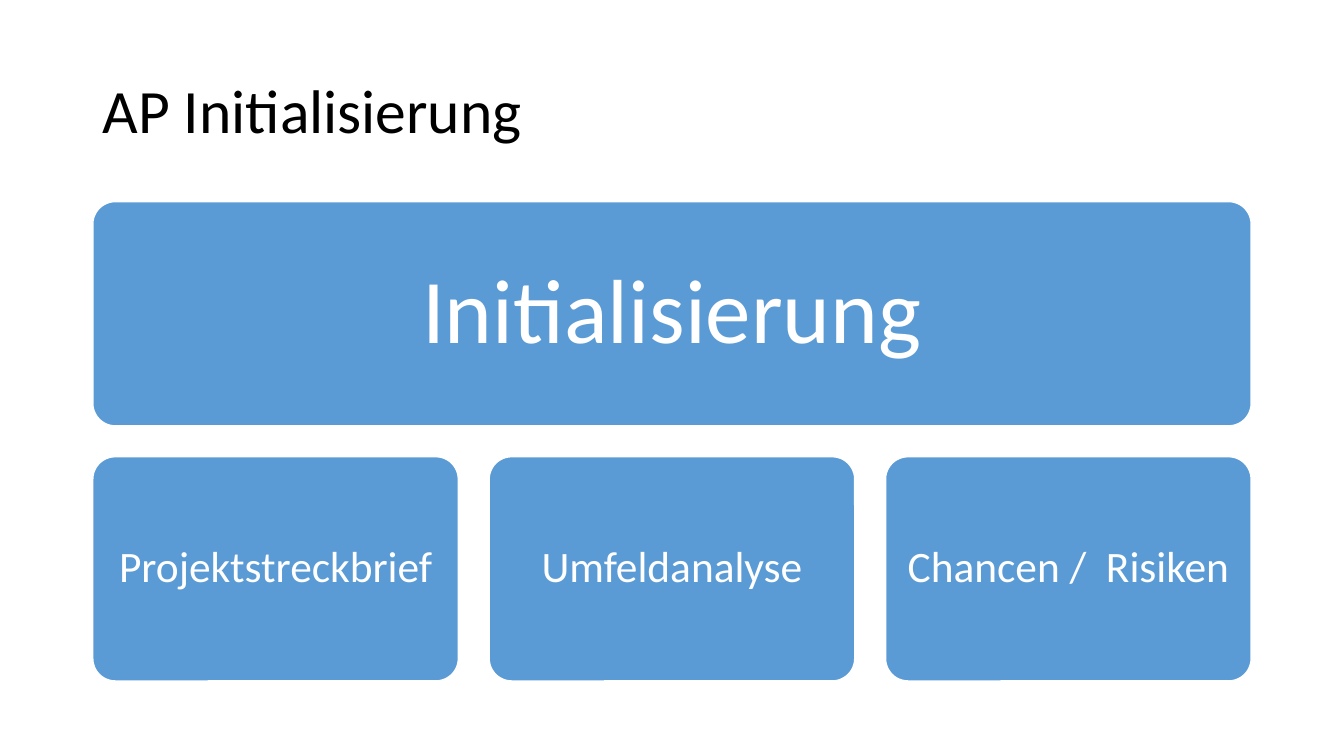
from pptx import Presentation
from pptx.dml.color import RGBColor
from pptx.enum.shapes import MSO_SHAPE
from pptx.enum.text import MSO_ANCHOR, MSO_AUTO_SIZE, PP_ALIGN
from pptx.util import Pt

LEFT, TOP, WIDTH, HIGH, GAP = 66.3, 144, 827.4, 160.2, 22
PARTS = ["Projektstreckbrief", "Umfeldanalyse", "Chancen /  Risiken"]


def paint(target, color):
    """Set a colour format from a hex string."""
    target.rgb = RGBColor.from_string(color)


def write(shape, text, size, color="FFFFFF", align=PP_ALIGN.CENTER):
    """Put one formatted paragraph, centred in height, into a shape."""
    frame = shape.text_frame
    frame.text = text
    frame.word_wrap = True
    frame.auto_size = MSO_AUTO_SIZE.NONE
    frame.vertical_anchor = MSO_ANCHOR.MIDDLE
    para = frame.paragraphs[0]
    para.alignment = align
    para.line_spacing = 0.9
    font = para.runs[0].font
    font.name = "Calibri"
    font.size = Pt(size)
    paint(font.color, color)


def place(shape, left, top, width, height):
    """Move and size a shape in points."""
    shape.left, shape.top = Pt(left), Pt(top)
    shape.width, shape.height = Pt(width), Pt(height)


def add_box(slide, text, left, top, width, size):
    """Draw a rounded blue box with its label."""
    box = slide.shapes.add_shape(
        MSO_SHAPE.ROUNDED_RECTANGLE, Pt(left), Pt(top), Pt(width), Pt(HIGH))
    box.adjustments[0] = 0.1
    box.shadow.inherit = False
    box.fill.solid()
    paint(box.fill.fore_color, "5B9BD5")
    paint(box.line.color, "FFFFFF")
    box.line.width = Pt(1)
    write(box, text, size)


def main():
    """Build the slide and save it."""
    deck = Presentation()
    deck.slide_width, deck.slide_height = Pt(960), Pt(540)
    slide = deck.slides.add_slide(deck.slide_layouts[5])
    title = slide.shapes.title
    place(title, 66, 28.8, 828, 104.4)
    write(title, "AP Initialisierung", 44, color="000000", align=PP_ALIGN.LEFT)
    add_box(slide, "Initialisierung", LEFT, TOP, WIDTH, 65)
    width = (WIDTH - GAP * (len(PARTS) - 1)) / len(PARTS)
    for col, part in enumerate(PARTS):
        add_box(slide, part, LEFT + col * (width + GAP), TOP + HIGH + GAP, width, 31)
    deck.save("out.pptx")


main()
